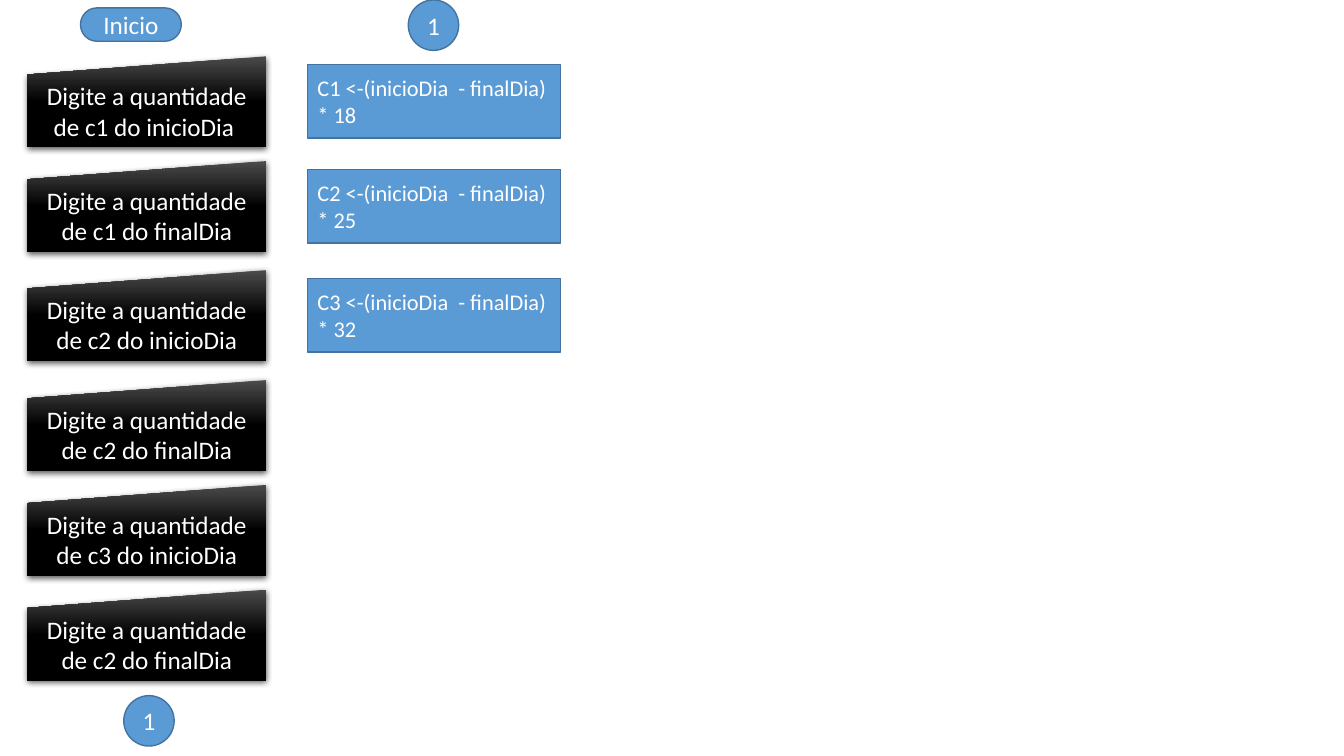
from dataclasses import dataclass

from lxml import etree
from pptx import Presentation
from pptx import util as u
from pptx.dml import color
from pptx.enum import shapes, text
from pptx.oxml import ns


@dataclass(frozen=True)
class Theme:
    blue: str = "5B9BD5"
    edge: str = "43739E"
    gray: str = "4B4B4B"
    black: str = "000000"
    white: str = "FFFFFF"
    face: str = "Calibri"
    large: int = 18
    small: int = 16


theme = Theme()
rgb = color.RGBColor.from_string
kind = shapes.MSO_SHAPE
align = text.PP_ALIGN

deck = Presentation()
deck.slide_width, deck.slide_height = u.Cm(33.87), u.Cm(19.05)
slide = deck.slides.add_slide(deck.slide_layouts[6])


def add_node(form, box, label, size=theme.large, side=align.CENTER):
    node = slide.shapes.add_shape(form, *[u.Cm(n) for n in box])
    node.shadow.inherit = False
    node.fill.solid()
    node.fill.fore_color.rgb = rgb(theme.blue)
    node.line.color.rgb = rgb(theme.edge)
    node.line.width = u.Pt(1)
    frame = node.text_frame
    frame.word_wrap = True
    frame.vertical_anchor = text.MSO_ANCHOR.MIDDLE
    para = frame.paragraphs[0]
    para.alignment = side
    run = para.add_run()
    run.text = label
    style = {"name": theme.face, "size": u.Pt(size)}
    for key, value in style.items():
        setattr(run.font, key, value)
    run.font.color.rgb = rgb(theme.white)
    return node


def add_glow(node):
    node.line.fill.background()
    node.fill.gradient()
    node.fill.gradient_angle = 270
    for stop, tone, place in zip(node.fill.gradient_stops, (theme.gray, theme.black), (0, 0.5)):
        stop.color.rgb = rgb(tone)
        stop.position = place
    effect = node._element.spPr.find(ns.qn("a:effectLst"))
    shade = etree.SubElement(effect, ns.qn("a:outerShdw"), blurRad=str(u.Pt(4.5)),
                             dist=str(u.Pt(1.5)), dir="5400000", algn="ctr", rotWithShape="0")
    tint = etree.SubElement(shade, ns.qn("a:srgbClr"), val=theme.black)
    etree.SubElement(tint, ns.qn("a:alpha"), val="63000")


tops = [1.42, 4.06, 6.81, 9.58, 12.22, 14.86]
inputs = ["c1 do inicioDia ", "c1 do finalDia", "c2 do inicioDia",
          "c2 do finalDia", "c3 do inicioDia", "c2 do finalDia"]
rates = [18, 25, 32]

add_node(kind.FLOWCHART_TERMINATOR, (2.03, 0.2, 2.54, 0.84), "Inicio")

for top, label in zip(tops, inputs):
    add_glow(add_node(kind.FLOWCHART_MANUAL_INPUT, (0.69, top, 6.02, 2.29),
                      f"Digite a quantidade de {label}"))

for left, top in ((3.12, 17.53), (10.29, 0)):
    add_node(kind.FLOWCHART_CONNECTOR, (left, top, 1.27, 1.27), "1")

for index, (top, rate) in enumerate(zip(tops, rates), 1):
    add_node(kind.FLOWCHART_PROCESS, (7.75, top + 0.21, 6.38, 1.85),
             f"C{index} <-(inicioDia  - finalDia) * {rate}", theme.small, align.LEFT)

deck.save("out.pptx")
